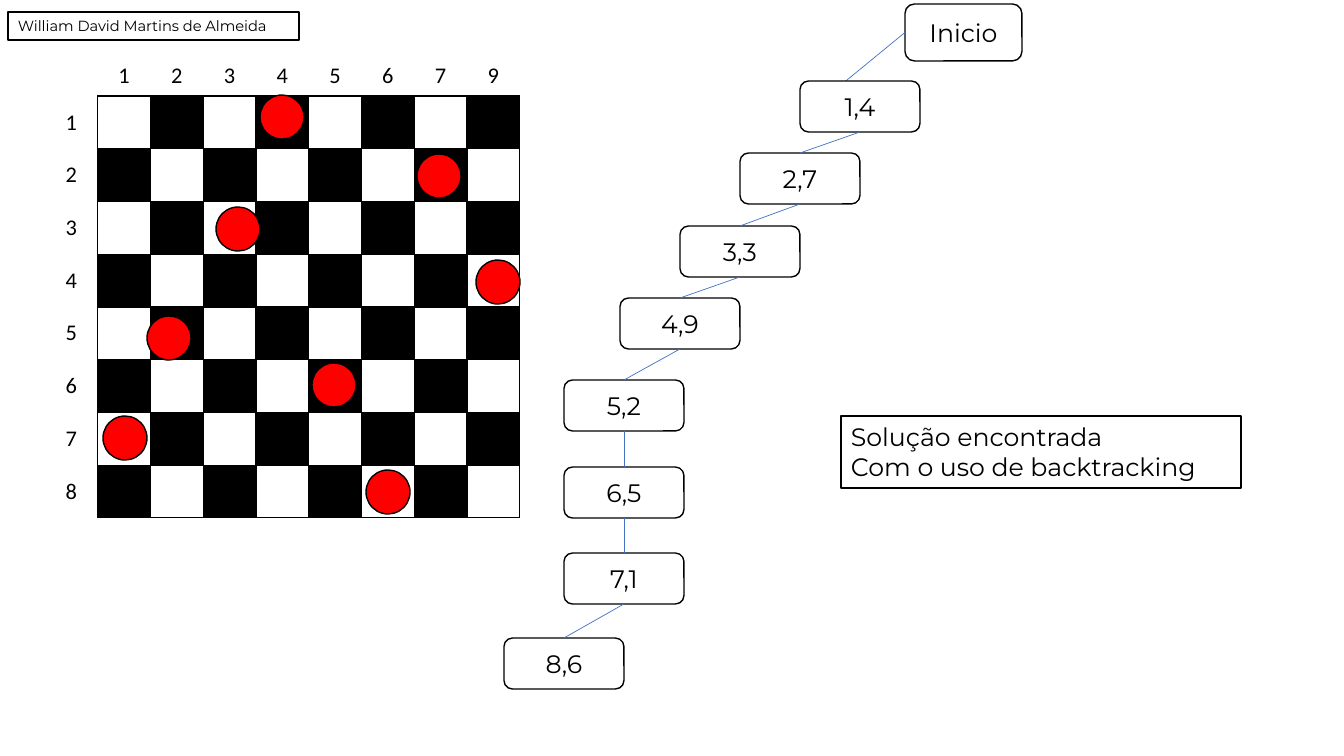
import pptx
import pptx.dml.color
import pptx.enum.shapes
import pptx.enum.text
import pptx.oxml
import pptx.oxml.ns
import pptx.util

SHAPE = pptx.enum.shapes.MSO_SHAPE
ALIGN = pptx.enum.text.PP_ALIGN
ANCHOR = pptx.enum.text.MSO_ANCHOR
BLACK, WHITE, RED, BLUE = "000000", "FFFFFF", "FF0000", "4472C4"
TOP, LEFT, BOTTOM = 0, 1, 2  # connection sites of a box

COLUMN_LABELS = "12345679"
ROW_LABELS = "12345678"
QUEEN_SIZE = 44
QUEENS = [(260, 95), (417, 154), (216, 207), (476, 260),
          (147, 316), (312, 363), (103, 416), (366, 470)]
MOVES = [("1,4", 800, 81), ("2,7", 740, 153), ("3,3", 680, 226),
         ("4,9", 620, 298), ("5,2", 564, 380), ("6,5", 564, 467),
         ("7,1", 564, 553), ("8,6", 504, 638)]


def px(n):
    """Turn pixels into EMU, at 100.8 pixels to the inch."""
    return pptx.util.Emu(round(n * 914400 / 100.8))


def rgb(color):
    """Turn a hex string into a colour."""
    return pptx.dml.color.RGBColor.from_string(color)


def set_text(tf, text, font="Montserrat", size=18, color=BLACK, align=ALIGN.CENTER):
    """Fill a text frame with one formatted paragraph."""
    tf.text = text
    p = tf.paragraphs[0]
    p.alignment = align
    for r in p.runs:
        r.font.name = font
        r.font.size = pptx.util.Pt(size)
        r.font.color.rgb = rgb(color)


def add_shape(slide, kind, x, y, w, h, fill=WHITE):
    """Add a filled shape with a thin black outline."""
    sp = slide.shapes.add_shape(kind, px(x), px(y), px(w), px(h))
    sp.shadow.inherit = False
    sp.fill.solid()
    sp.fill.fore_color.rgb = rgb(fill)
    sp.line.color.rgb = rgb(BLACK)
    sp.line.width = pptx.util.Pt(1)
    return sp


def add_node(slide, text, x, y, w=120, h=51):
    """Add a rounded box of the search tree."""
    sp = add_shape(slide, SHAPE.ROUNDED_RECTANGLE, x, y, w, h)
    sp.text_frame.vertical_anchor = ANCHOR.MIDDLE
    set_text(sp.text_frame, text)
    return sp


def add_note(slide, text, x, y, w, h, size):
    """Add a framed box with text at its top left."""
    tf = add_shape(slide, SHAPE.RECTANGLE, x, y, w, h).text_frame
    tf.word_wrap = True
    tf.auto_size = pptx.enum.text.MSO_AUTO_SIZE.SHAPE_TO_FIT_TEXT
    tf.vertical_anchor = ANCHOR.TOP
    set_text(tf, text, size=size, align=ALIGN.LEFT)


def add_link(slide, x=0, y=0):
    """Add a thin blue connector without a shadow, ending at x, y."""
    straight = pptx.enum.shapes.MSO_CONNECTOR.STRAIGHT
    link = slide.shapes.add_connector(straight, px(x), px(y), px(x), px(y))
    link.line.color.rgb = rgb(BLUE)
    link.line.width = pptx.util.Pt(0.5)
    props = link._element.spPr
    props.append(props.makeelement(pptx.oxml.ns.qn("a:effectLst"), {}))
    return link


def set_borders(cell, black_sides):
    """Draw the given sides of a cell in black and hide the others."""
    ns = pptx.oxml.ns.nsdecls("a")
    tc_pr = cell._tc.get_or_add_tcPr()
    for i, side in enumerate("LRTB"):
        paint = "<a:noFill/>"
        if side in black_sides:
            paint = f'<a:solidFill><a:srgbClr val="{BLACK}"/></a:solidFill>'
        xml = f'<a:ln{side} {ns} w="12700">{paint}</a:ln{side}>'
        tc_pr.insert(i, pptx.oxml.parse_xml(xml))


def add_board(slide):
    """Add the chessboard with its row and column labels."""
    size = len(ROW_LABELS) + 1
    frame = slide.shapes.add_table(size, size, px(45), px(56), px(475), px(462))
    table = frame.table
    table.first_row = table.horz_banding = False
    for col in table.columns:
        col.width = px(475 / size)
    for i, row in enumerate(table.rows):
        row.height = px(422 / (size - 1) if i else 40)
        for j, cell in enumerate(row.cells):
            on_board = i > 0 and j > 0
            cell.fill.solid()
            cell.fill.fore_color.rgb = rgb(BLACK if on_board and (i + j) % 2 else WHITE)
            cell.margin_left = cell.margin_right = px(9)
            cell.margin_top = cell.margin_bottom = px(4)
            if on_board:
                set_borders(cell, "LRTB")
                continue
            set_borders(cell, "B" if j else "R" if i else "")
            if i or j:
                cell.vertical_anchor = ANCHOR.MIDDLE
                label = COLUMN_LABELS[j - 1] if j else ROW_LABELS[i - 1]
                set_text(cell.text_frame, label, font="Calibri", size=16)


def add_tree(slide):
    """Add the chain of moves that leads to the solution."""
    start = add_node(slide, "Inicio", 905, 4, 117, 57)
    add_link(slide, 841, 85).begin_connect(start, LEFT)
    nodes = [add_node(slide, *move) for move in MOVES]
    for parent, child in zip(nodes, nodes[1:]):
        link = add_link(slide)
        link.begin_connect(parent, BOTTOM)
        link.end_connect(child, TOP)


def main():
    """Build the slide and save it."""
    prs = pptx.Presentation()
    prs.slide_width, prs.slide_height = px(1344), px(756)
    slide = prs.slides.add_slide(prs.slide_layouts[6])
    add_board(slide)
    for x, y in QUEENS:
        add_shape(slide, SHAPE.OVAL, x, y, QUEEN_SIZE, QUEEN_SIZE, fill=RED)
    add_tree(slide)
    add_note(slide, "Solução encontrada\vCom o uso de backtracking", 841, 416, 400, 72, 18)
    add_note(slide, "William David Martins de Almeida", 8, 12, 291, 28, 10.5)
    prs.save("out.pptx")


main()
